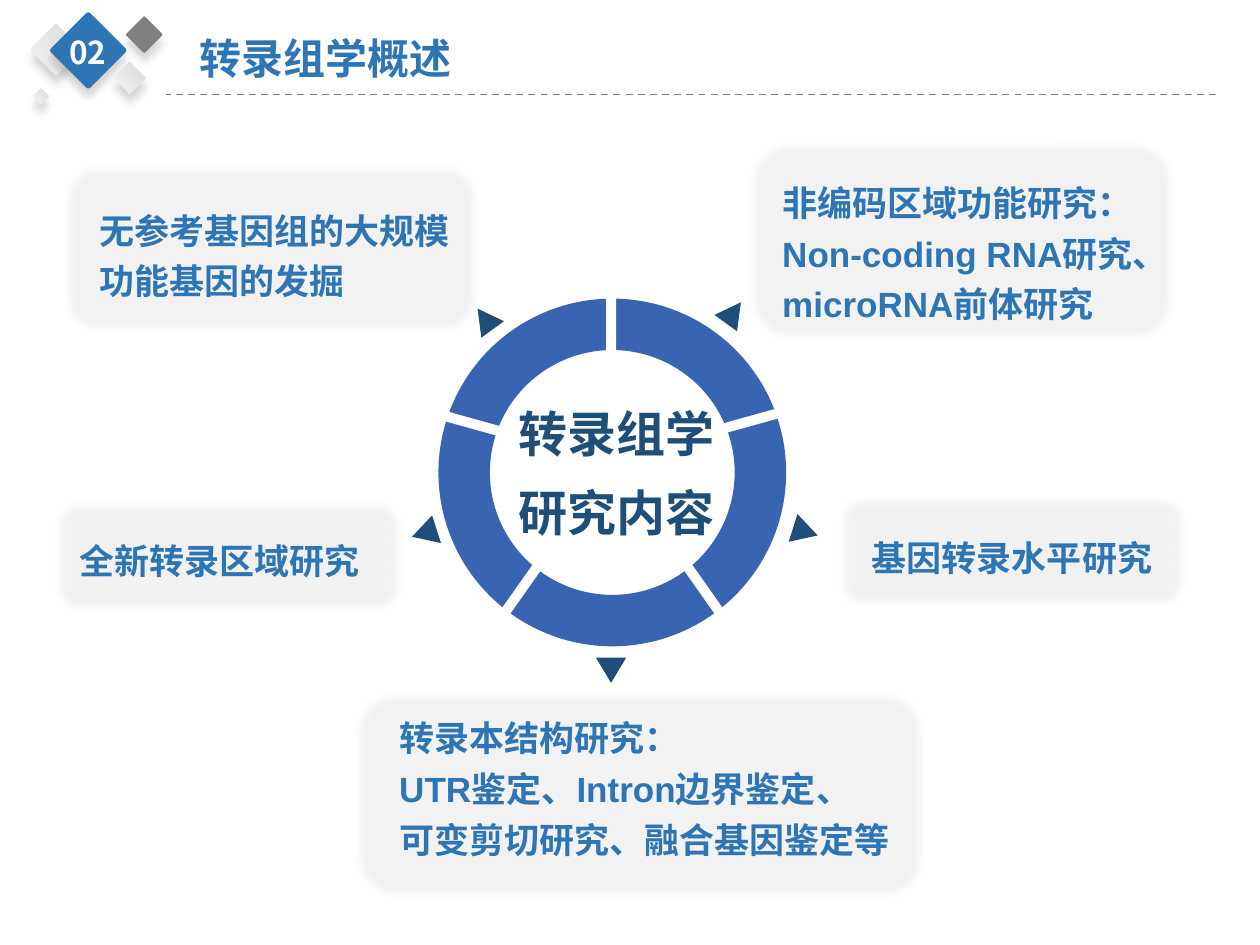
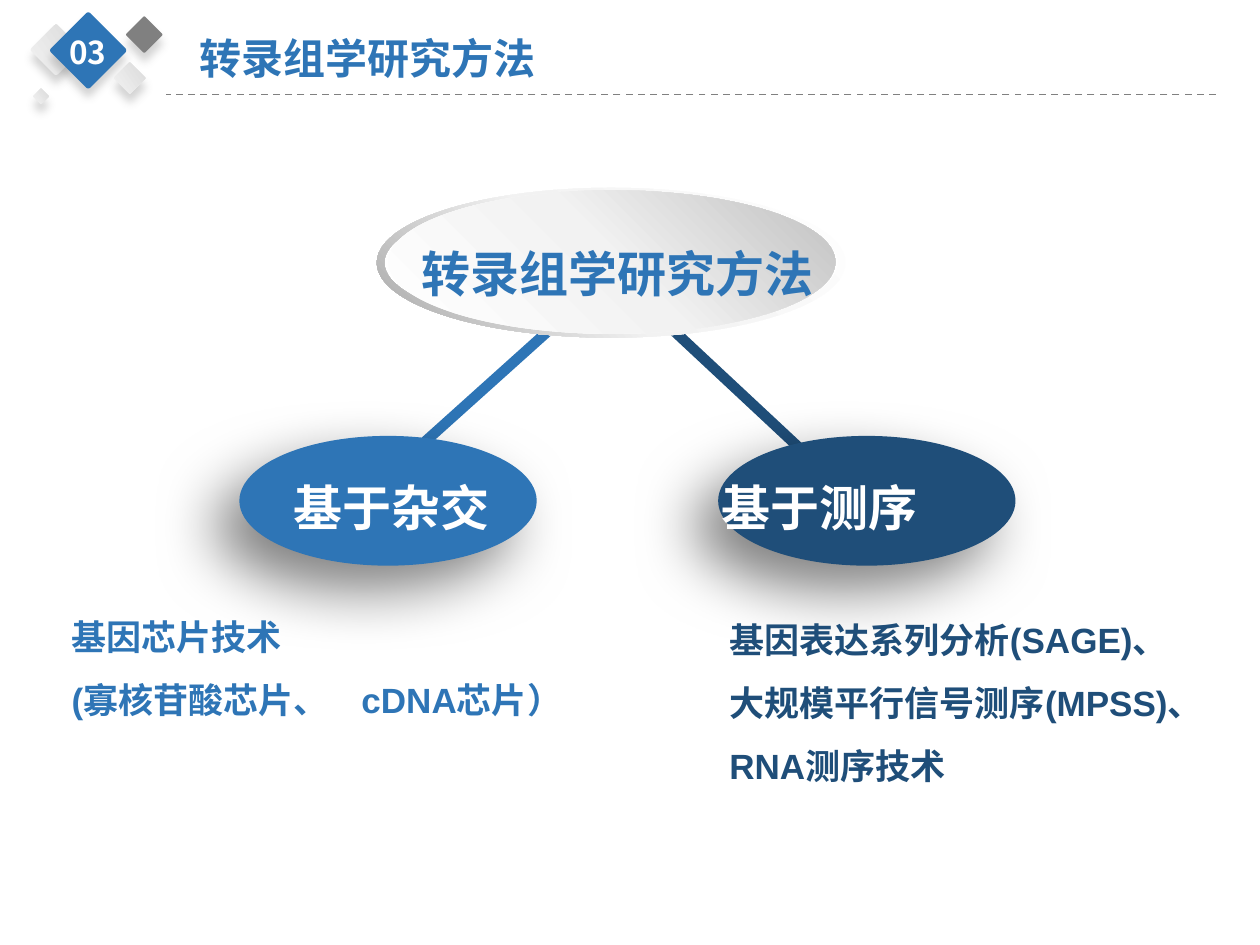
from math import cos, radians, sin

from pptx import Presentation
from pptx.dml.color import RGBColor
from pptx.enum.dml import MSO_LINE
from pptx.enum.shapes import MSO_CONNECTOR, MSO_SHAPE
from pptx.enum.text import MSO_ANCHOR, MSO_AUTO_SIZE, PP_ALIGN
from pptx.oxml import parse_xml
from pptx.oxml.ns import nsdecls, qn
from pptx.util import Emu, Pt

PX = 9144  # EMU in one px, 100 px to the inch

BLUE = RGBColor(0x2E, 0x75, 0xB6)
NAVY = RGBColor(0x1F, 0x4E, 0x79)
RING_BLUE = RGBColor(0x38, 0x64, 0xB2)
GRAY = RGBColor(0x80, 0x80, 0x80)
PANEL_GRAY = RGBColor(0xF2, 0xF2, 0xF2)
SILVER = RGBColor(0xDB, 0xDB, 0xDB)
RIM_GRAY = RGBColor(0xA6, 0xA6, 0xA6)
SHEEN_GRAY = RGBColor(0xBF, 0xBF, 0xBF)
WHITE = RGBColor(0xFF, 0xFF, 0xFF)

HEADING_FONT = "Noto Sans CJK SC"
BODY_FONT = "Arial"

# Gradients: clockwise angle, then (position in percent, colour) stops
DIAMOND_GRADIENT = (280, [(0, PANEL_GRAY), (100, SILVER)])
RIM_GRADIENT = (135, [(0, WHITE), (55, PANEL_GRAY), (100, RIM_GRAY)])
SHEEN_GRADIENT = (315, [(0, WHITE), (51, PANEL_GRAY), (100, SHEEN_GRAY)])

SHADOW = ('<a:outerShdw {ns} blurRad="{blur}" dist="{distance}" dir="{angle}" algn="ctr" '
          'rotWithShape="0"><a:srgbClr val="{color}"><a:alpha val="{alpha}"/>'
          '</a:srgbClr></a:outerShdw>')
DIAMOND_SHADOW = SHADOW.format(ns=nsdecls("a"), blur=Pt(5), distance=Pt(5),
                               angle=90 * 60000, color="595959", alpha=25000)
OVAL_SHADOW = SHADOW.format(ns=nsdecls("a"), blur=Pt(35), distance=Pt(20),
                            angle=135 * 60000, color="000000", alpha=50000)
SOFT_EDGE = f'<a:softEdge {nsdecls("a")} rad="{Pt(5)}"/>'


def add_shape(slide, kind, box, fill, rotation=0, adjustment=None, effect=None):
    """Add a borderless preset shape; fill is a colour or a gradient, effect is XML."""
    shape = slide.shapes.add_shape(kind, *[Emu(value * PX) for value in box])
    shape.rotation = rotation
    shape.line.fill.background()
    shape.shadow.inherit = False
    properties = shape.element.spPr
    if adjustment is not None:
        shape.adjustments[0] = adjustment
    if isinstance(fill, RGBColor):
        shape.fill.solid()
        shape.fill.fore_color.rgb = fill
    else:
        angle, stops = fill
        stops_xml = "".join(
            f'<a:gs pos="{position * 1000}"><a:srgbClr val="{color}"/></a:gs>'
            for position, color in stops)
        shape.fill.gradient()
        properties.replace(properties.find(qn("a:gradFill")), parse_xml(
            f'<a:gradFill {nsdecls("a")} rotWithShape="1"><a:gsLst>{stops_xml}</a:gsLst>'
            f'<a:lin ang="{angle * 60000}" scaled="0"/></a:gradFill>'))
    if effect:
        properties.find(qn("a:effectLst")).append(parse_xml(effect))
    return shape


def add_text(slide, text, box, size=20, color=BLUE, font=BODY_FONT, align=PP_ALIGN.LEFT,
             line_spacing=None, space=0, wrap=True, tab=None, holder=None):
    """Write one bold paragraph per line of text, in holder or in a new text box."""
    left, top, width, height = [Emu(value * PX) for value in box]
    if holder is None:
        holder = slide.shapes.add_textbox(left, top, width, height)
    else:
        holder.left, holder.top, holder.width, holder.height = left, top, width, height
    frame = holder.text_frame
    frame.text = text
    frame.word_wrap = wrap
    frame.auto_size = MSO_AUTO_SIZE.NONE
    frame.vertical_anchor = MSO_ANCHOR.TOP
    for index, paragraph in enumerate(frame.paragraphs):
        paragraph.alignment = align
        if tab:
            paragraph._p.get_or_add_pPr().append(parse_xml(
                f'<a:tabLst {nsdecls("a")}><a:tab pos="{tab * PX}" algn="l"/></a:tabLst>'))
        if line_spacing:
            paragraph.line_spacing = line_spacing
        paragraph.space_before = Pt(space if index else 0)
        paragraph.space_after = Pt(space)
        for run in paragraph.runs:
            run.font.size = Pt(size)
            run.font.bold = True
            run.font.name = font
            run.font.color.rgb = color
            run.font._element.find(qn("a:latin")).addnext(parse_xml(
                f'<a:ea {nsdecls("a")} typeface="{HEADING_FONT}"/>'))


presentation = Presentation()
presentation.slide_width = Emu(1000 * PX)
presentation.slide_height = Emu(750 * PX)
title_only = presentation.slide_layouts[5]

# Shared header: dashed rule, title, diamonds and section number
diamonds = [
    (30, 25, 29, DIAMOND_GRADIENT),
    (48, 18, 44, BLUE),
    (104, 17, 21, GRAY),
    (94, 53, 18, DIAMOND_GRADIENT),
    (28, 72, 9, DIAMOND_GRADIENT),
]
slides = []
for number, title, title_width in [("02", "转录组学概述", 222), ("03", "转录组学研究方法", 289)]:
    slide = presentation.slides.add_slide(title_only)
    slides.append(slide)
    rule = slide.shapes.add_connector(
        MSO_CONNECTOR.STRAIGHT, Emu(965 * PX), Emu(75 * PX), Emu(132 * PX), Emu(75 * PX))
    rule.line.color.rgb = GRAY
    rule.line.width = Pt(1)
    rule.line.dash_style = MSO_LINE.DASH
    rule.element.spPr.append(parse_xml(f'<a:effectLst {nsdecls("a")}/>'))
    add_text(slide, title, (148, 21, title_width, 50), size=24, font=HEADING_FONT,
             wrap=False, holder=slide.shapes.title)
    for left, top, side, fill in diamonds:
        add_shape(slide, MSO_SHAPE.ROUNDED_RECTANGLE, (left, top, side, side), fill,
                  rotation=45, adjustment=0.05, effect=DIAMOND_SHADOW)
    add_text(slide, number, (44, 21, 51, 40), size=18, color=WHITE, font=HEADING_FONT,
             align=PP_ALIGN.CENTER, wrap=False)

overview, methods = slides

# Overview: five-part ring with a pointer and a panel for each topic
add_shape(overview, MSO_SHAPE.DONUT, (348, 237, 276, 276), RING_BLUE, adjustment=0.148)
add_text(overview, "转录组学\n研究内容", (402, 315, 236, 121), size=28, color=NAVY, space=6)

divider_width, divider_height = 8, 56
for center_x, center_y, rotation in [(485, 254, 0), (596, 334, 74.5), (562, 473, 144.8),
                                     (410, 473, 215.2), (374, 336, 285.5)]:
    add_shape(overview, MSO_SHAPE.RECTANGLE,
              (center_x - divider_width // 2, center_y - divider_height // 2,
               divider_width, divider_height), WHITE, rotation=rotation)

pointer_radius = 13.3
pointer_centers = [(580, 251), (636, 421), (485, 529), (340, 422), (387, 256)]
for index, (center_x, center_y) in enumerate(pointer_centers):
    outward = 36 + 72 * index - 90
    corners = [(round(center_x + pointer_radius * cos(radians(outward + turn))),
                round(center_y + pointer_radius * sin(radians(outward + turn))))
               for turn in (0, 120, 240)]
    builder = overview.shapes.build_freeform(*corners[0], scale=PX)
    builder.add_line_segments(corners[1:], close=True)
    pointer = builder.convert_to_shape()
    pointer.fill.solid()
    pointer.fill.fore_color.rgb = NAVY
    pointer.line.fill.background()
    pointer.shadow.inherit = False

topics = [
    ((49, 128, 332, 138), (69, 154, 308, 88), "无参考基因组的大规模功能基因的发掘"),
    ((593, 111, 341, 161), (611, 132, 318, 129),
     "非编码区域功能研究：\nNon-coding RNA研究、\nmicroRNA前体研究"),
    ((42, 396, 279, 92), (53, 416, 261, 47), "全新转录区域研究"),
    ((664, 392, 279, 92), (682, 414, 261, 47), "基因转录水平研究"),
    ((280, 547, 456, 168), (307, 557, 429, 129),
     "转录本结构研究：\nUTR鉴定、Intron边界鉴定、\n可变剪切研究、融合基因鉴定等"),
]
for panel_box, text_box, text in topics:
    add_shape(overview, MSO_SHAPE.ROUNDED_RECTANGLE, panel_box, PANEL_GRAY, effect=SOFT_EDGE)
    add_text(overview, text, text_box, line_spacing=Pt(29))

# Methods: one root oval branching into two coloured ovals
branches = [
    (299, 190, 223, "基于杂交", BLUE),
    (666, 570, 563, "基于测序", NAVY),
]
for line_end, oval_left, label_left, label, color in branches:
    branch = methods.shapes.add_connector(
        MSO_CONNECTOR.STRAIGHT, Emu(line_end * PX), Emu(385 * PX), Emu(486 * PX), Emu(217 * PX))
    branch.line.color.rgb = color
    branch.line.width = Pt(6)
    branch.element.spPr.append(parse_xml(f'<a:effectLst {nsdecls("a")}/>'))
    add_shape(methods, MSO_SHAPE.OVAL, (oval_left, 346, 236, 103), color, effect=OVAL_SHADOW)
    add_text(methods, label, (label_left, 351, 200, 72), size=28, color=WHITE, line_spacing=1.5)

add_shape(methods, MSO_SHAPE.DONUT, (299, 149, 372, 119), RIM_GRADIENT, adjustment=0.05)
add_shape(methods, MSO_SHAPE.OVAL, (308, 151, 355, 114), SHEEN_GRADIENT)
add_text(methods, "转录组学研究方法", (325, 165, 599, 72), size=28, line_spacing=1.5, space=6)

add_text(methods, "基因芯片技术\n(寡核苷酸芯片、\tcDNA芯片）", (47, 467, 505, 105),
         line_spacing=1.5, tab=230)
add_text(methods, "基因表达系列分析(SAGE)、\n大规模平行信号测序(MPSS)、\nRNA测序技术",
         (569, 469, 431, 156), color=NAVY, line_spacing=1.5)

presentation.save("out.pptx")
